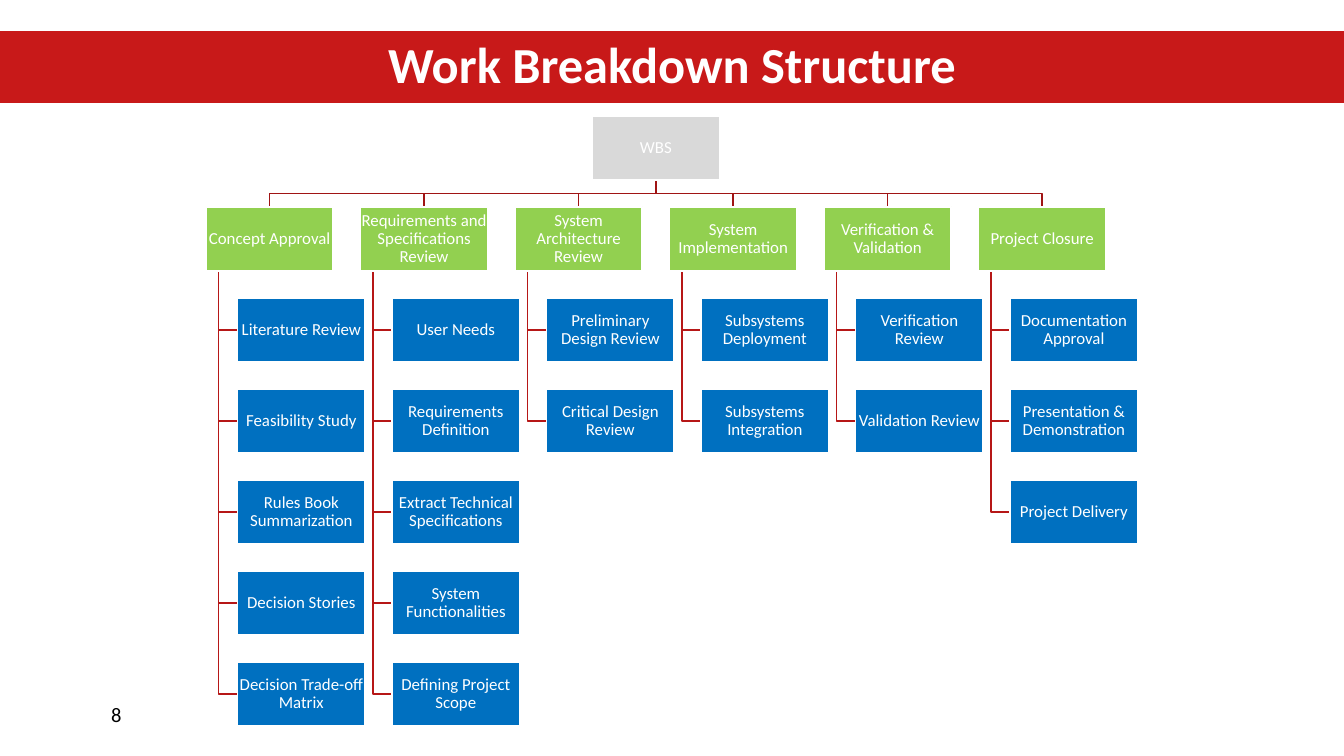
import pptx
import pptx.util
import pptx.dml.color
import pptx.enum.shapes
import pptx.enum.text

TITLE = "Work Breakdown Structure"
PAGE = "8"
ROOT = "WBS"
PHASES = [
    ("Concept Approval", [
        "Literature Review", "Feasibility Study", "Rules Book Summarization",
        "Decision Stories", "Decision Trade-off Matrix"]),
    ("Requirements and Specifications Review", [
        "User Needs", "Requirements Definition",
        "Extract Technical Specifications", "System Functionalities",
        "Defining Project Scope"]),
    ("System Architecture Review", [
        "Preliminary Design Review", "Critical Design Review"]),
    ("System Implementation", [
        "Subsystems Deployment", "Subsystems Integration"]),
    ("Verification & Validation", [
        "Verification Review", "Validation Review"]),
    ("Project Closure", [
        "Documentation Approval", "Presentation & Demonstration",
        "Project Delivery"]),
]

THEME = {
    "font": "Calibri",
    "title": 27, "label": 9, "page": 11, "line": 1,
    "white": "FFFFFF", "black": "000000", "band": "C81919",
    "root": "D9D9D9", "phase": "92D050", "task": "0070C0",
    "trunk": "A01414", "branch": "B61717",
}

# Lengths in centimetres
WIDE, HIGH = 25.4, 14.28
BOX_W, BOX_H = 2.41, 1.21
LEFT, TOP = 3.89, 2.19
STEP_X, STEP_Y = 2.92, 1.72
INDENT, SPINE = 0.6, 0.24

Cm, Pt = pptx.util.Cm, pptx.util.Pt
ALIGN = pptx.enum.text.PP_ALIGN
ANCHOR = pptx.enum.text.MSO_ANCHOR


def color(name):
    return pptx.dml.color.RGBColor.from_string(THEME[name])


def write(shape, text, size, ink, align=ALIGN.CENTER, anchor=ANCHOR.MIDDLE,
          space=None, bold=False, inset=0):
    frame = shape.text_frame
    frame.word_wrap = True
    frame.vertical_anchor = anchor
    frame.margin_left = Cm(inset)
    frame.margin_top = frame.margin_right = frame.margin_bottom = 0
    para = frame.paragraphs[0]
    para.alignment = align
    para.line_spacing = space
    run = para.add_run()
    run.text = text
    run.font.name = THEME["font"]
    run.font.size = Pt(THEME[size])
    run.font.bold = bold
    run.font.color.rgb = color(ink)


def add_rect(slide, left, top, width, height, fill, edge):
    shape = slide.shapes.add_shape(
        pptx.enum.shapes.MSO_SHAPE.RECTANGLE,
        Cm(left), Cm(top), Cm(width), Cm(height))
    shape.shadow.inherit = False
    shape.fill.solid()
    shape.fill.fore_color.rgb = color(fill)
    shape.line.color.rgb = color(edge)
    shape.line.width = Pt(THEME["line"])
    return shape


def add_box(slide, left, top, text, fill):
    box = add_rect(slide, left, top, BOX_W, BOX_H, fill, "white")
    write(box, text, "label", "white", space=0.9)


def add_path(slide, points, ink):
    """Draw an open bent line through the points."""
    start, *rest = [(Cm(x), Cm(y)) for x, y in points]
    pen = slide.shapes.build_freeform(*start)
    pen.add_line_segments(rest, close=False)
    shape = pen.convert_to_shape()
    shape.shadow.inherit = False
    shape.fill.background()
    shape.line.color.rgb = color(ink)
    shape.line.width = Pt(THEME["line"])


def row_top(row):
    return TOP + row * STEP_Y


def add_tree(slide):
    root_x = LEFT + (len(PHASES) - 1) / 2 * STEP_X
    mid = root_x + BOX_W / 2
    low = TOP + BOX_H
    head = row_top(1)
    bend = (low + head) / 2
    paths, boxes = [], [(root_x, TOP, ROOT, "root")]
    for col, (phase, tasks) in enumerate(PHASES):
        left = LEFT + col * STEP_X
        center = left + BOX_W / 2
        paths.append(([(mid, low), (mid, bend), (center, bend),
                       (center, head)], "trunk"))
        boxes.append((left, head, phase, "phase"))
        spine = left + SPINE
        for row, task in enumerate(tasks, 2):
            top = row_top(row)
            side = top + BOX_H / 2
            paths.append(([(spine, head + BOX_H), (spine, side),
                           (left + INDENT, side)], "branch"))
            boxes.append((left + INDENT, top, task, "task"))
    for points, ink in paths:
        add_path(slide, points, ink)
    for box in boxes:
        add_box(slide, *box)


def main():
    deck = pptx.Presentation()
    deck.slide_width, deck.slide_height = Cm(WIDE), Cm(HIGH)
    slide = deck.slides.add_slide(deck.slide_layouts[6])
    page = add_rect(slide, 0, 12.7, 3.1, 1.58, "white", "white")
    page.line.fill.background()
    write(page, PAGE, "page", "black", align=ALIGN.LEFT, inset=2.1)
    add_rect(slide, 0, 0.61, WIDE, 1.32, "band", "band")
    title = slide.shapes.add_textbox(0, Cm(0.81), Cm(WIDE), Cm(1.19))
    write(title, TITLE, "title", "white", anchor=ANCHOR.TOP,
          space=Pt(THEME["title"]), bold=True)
    add_tree(slide)
    deck.save("out.pptx")


if __name__ == "__main__":
    main()
